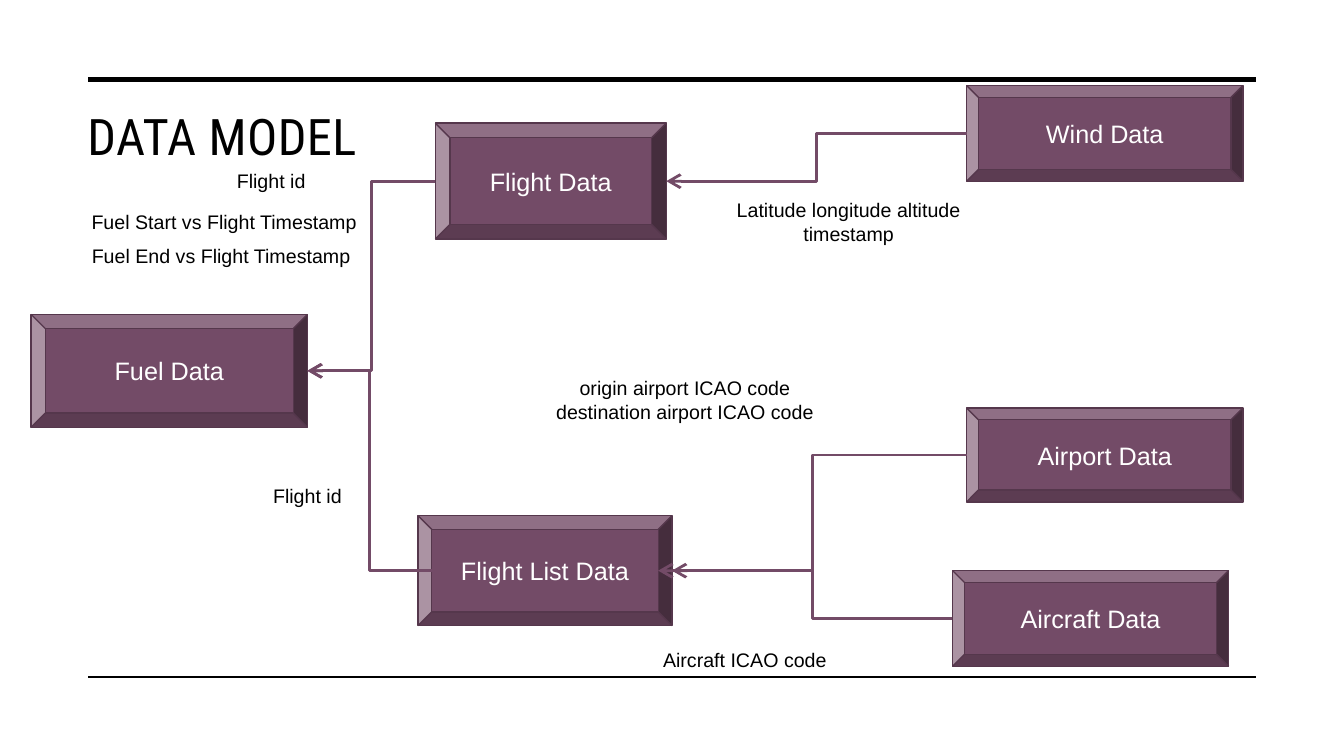
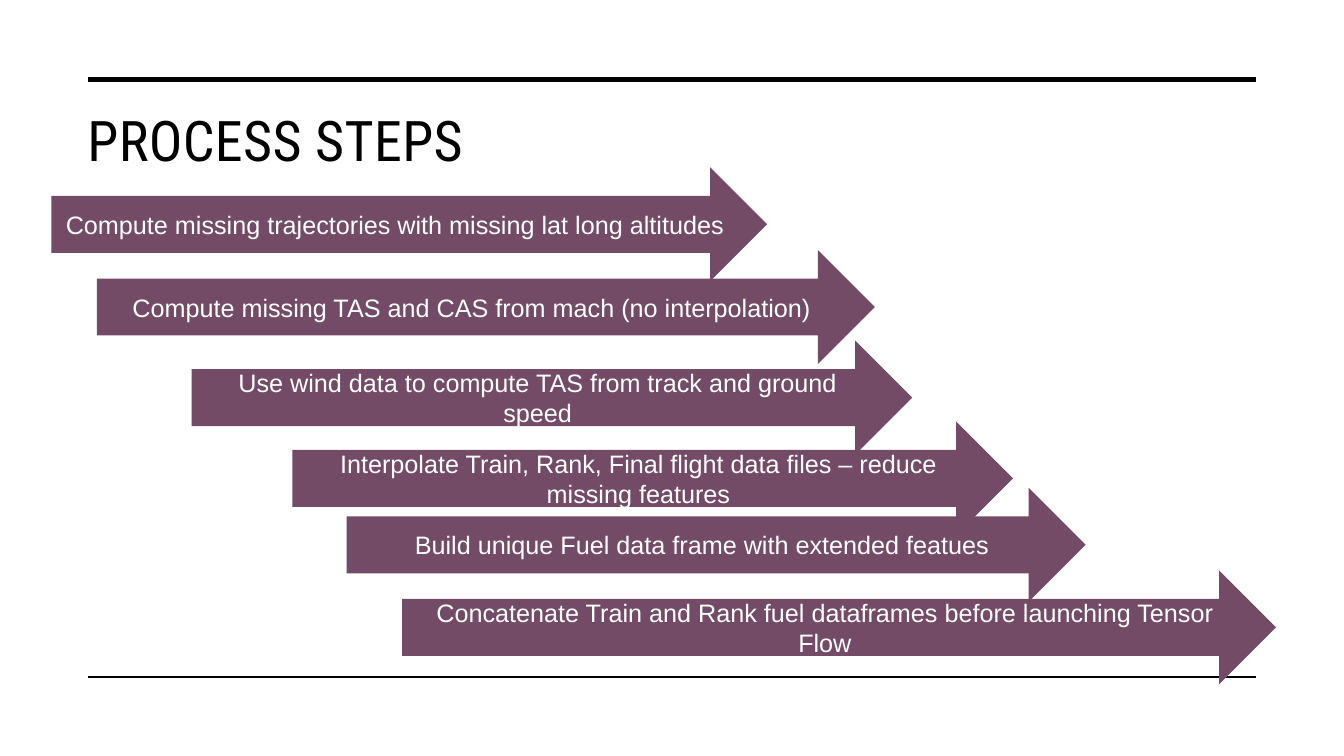
from lxml.etree import SubElement
from pptx import Presentation
from pptx.dml.color import RGBColor
from pptx.enum.shapes import MSO_CONNECTOR, MSO_SHAPE
from pptx.enum.text import MSO_ANCHOR, PP_ALIGN
from pptx.oxml.ns import qn
from pptx.util import Pt

COLORS = {"plum": "734B67", "plum_edge": "55374C", "black": "000000", "white": "FFFFFF"}
BODY_FONT = "Arial"
TITLE_FONT = "Roboto Condensed"
RULE_LEFT, RULE_RIGHT = 63.2, 897.1
BEVEL_RATIO = 0.125
STEP_HEIGHT = 81.4

# name: left, top, width, height
BOXES = {
    "Fuel Data": (22.3, 224.6, 197.3, 80.6),
    "Flight Data": (311, 88, 164.9, 82.8),
    "Flight List Data": (298.6, 368.4, 181.4, 78.5),
    "Airport Data": (690.5, 291.5, 197.3, 67),
    "Aircraft Data": (680.4, 407.5, 197.3, 68.4),
    "Wind Data": (690.5, 61.1, 197.3, 68.4),
}

# source, target, start on inner edge, end on inner edge
LINKS = [
    ("Flight Data", "Fuel Data", False, False),
    ("Flight List Data", "Fuel Data", True, False),
    ("Airport Data", "Flight List Data", False, True),
    ("Aircraft Data", "Flight List Data", False, False),
    ("Wind Data", "Flight Data", False, False),
]

# text, left, top, width, height
LABELS = [
    ("Flight id", 146.2, 117, 95, 24.5),
    ("Fuel Start vs Flight Timestamp", 55.4, 146.2, 209.5, 24.5),
    ("Fuel End vs Flight Timestamp", 48.2, 170.6, 219.6, 24.5),
    ("Flight id", 171.4, 342, 96.5, 24.5),
    ("origin airport ICAO code\ndestination airport ICAO code", 365.8, 265, 247, 41),
    ("Aircraft ICAO code", 463, 459.4, 138.2, 24.5),
    ("Latitude longitude altitude\ntimestamp", 507.6, 138.2, 197.3, 41),
]

# text, left, top, width
STEPS = [
    ("Compute missing trajectories with missing lat long altitudes", 36.7, 119.5, 511.2),
    ("Compute missing TAS and CAS from mach (no interpolation)", 69.1, 178.6, 555.8),
    ("Use wind data to compute TAS from track and ground speed", 136.8, 243.4, 514.8),
    ("Interpolate Train, Rank, Final flight data files – reduce missing features",
     208.8, 301, 514.8),
    ("Build unique Fuel data frame with extended featues", 247.7, 348.5, 527.8),
    ("Concatenate Train and Rank fuel dataframes before launching Tensor Flow",
     287.3, 407.5, 624.2),
]


def rgb(name):
    return RGBColor.from_string(COLORS[name])


def write_text(shape, text, size=18, font=BODY_FONT, color="white",
               align=PP_ALIGN.CENTER, anchor=MSO_ANCHOR.MIDDLE, spacing=None,
               margin=3.6):
    """Fill a shape with one paragraph per line; spacing is in 1/100 point."""
    frame = shape.text_frame
    frame.word_wrap = True
    frame.vertical_anchor = anchor
    frame.margin_top = frame.margin_bottom = Pt(margin)
    frame.text = text
    for paragraph in frame.paragraphs:
        paragraph.alignment = align
        for run in paragraph.runs:
            run.font.size = Pt(size)
            run.font.name = font
            run.font.color.rgb = rgb(color)
            if spacing:
                run.font._element.set("spc", str(spacing))


def add_text_box(slide, text, bounds, **text_format):
    text_box = slide.shapes.add_textbox(*map(Pt, bounds))
    write_text(text_box, text, anchor=MSO_ANCHOR.TOP, color="black", **text_format)


def add_block(slide, kind, text, bounds, edge=None):
    """Add a filled shape whose label may use its full height."""
    shape = slide.shapes.add_shape(kind, *map(Pt, bounds))
    shape.shadow.inherit = False
    shape.fill.solid()
    shape.fill.fore_color.rgb = rgb("plum")
    if edge:
        shape.line.color.rgb = rgb(edge)
        shape.line.width = Pt(1)
    else:
        shape.line.fill.background()
    write_text(shape, text, margin=0)


def add_line(slide, start, end, color, width, kind=MSO_CONNECTOR.STRAIGHT, arrow=False):
    connector = slide.shapes.add_connector(kind, *map(Pt, (*start, *end)))
    connector.line.color.rgb = rgb(color)
    connector.line.width = Pt(width)
    if arrow:
        SubElement(connector.line._get_or_add_ln(), qn("a:tailEnd"),
                   type="arrow", w="lg", len="lg")
    SubElement(connector._element.spPr, qn("a:effectLst"))


def add_link(slide, source, target, inner_start, inner_end):
    """Join the left edge of one box to the right edge of another."""
    left, top, _, height = BOXES[source]
    start = (left + inner_start * BEVEL_RATIO * height, top + height / 2)
    left, top, width, height = BOXES[target]
    end = (left + width - inner_end * BEVEL_RATIO * height, top + height / 2)
    add_line(slide, start, end, "plum", 2, MSO_CONNECTOR.ELBOW, arrow=True)


def add_titled_slide(presentation, title, size):
    slide = presentation.slides.add_slide(presentation.slide_layouts[6])
    for y, width in ((56.9, 3.5), (483.6, 1)):
        add_line(slide, (RULE_LEFT, y), (RULE_RIGHT, y), "black", width)
    add_text_box(slide, title, (55.4, 71.5, 841.7, 57), size=size, font=TITLE_FONT,
                 align=PP_ALIGN.LEFT, spacing=30)
    return slide


def build_data_model(presentation):
    slide = add_titled_slide(presentation, "DATA MODEL", 36)
    for name, bounds in BOXES.items():
        add_block(slide, MSO_SHAPE.BEVEL, name, bounds, edge="plum_edge")
    for link in LINKS:
        add_link(slide, *link)
    for text, *bounds in LABELS:
        add_text_box(slide, text, bounds, size=14)


def build_process_steps(presentation):
    slide = add_titled_slide(presentation, "PROCESS STEPS", 40)
    for text, *bounds in STEPS:
        add_block(slide, MSO_SHAPE.RIGHT_ARROW, text, (*bounds, STEP_HEIGHT))


def main():
    presentation = Presentation()
    presentation.slide_width = Pt(960)
    presentation.slide_height = Pt(540)
    build_data_model(presentation)
    build_process_steps(presentation)
    presentation.save("out.pptx")


if __name__ == "__main__":
    main()
